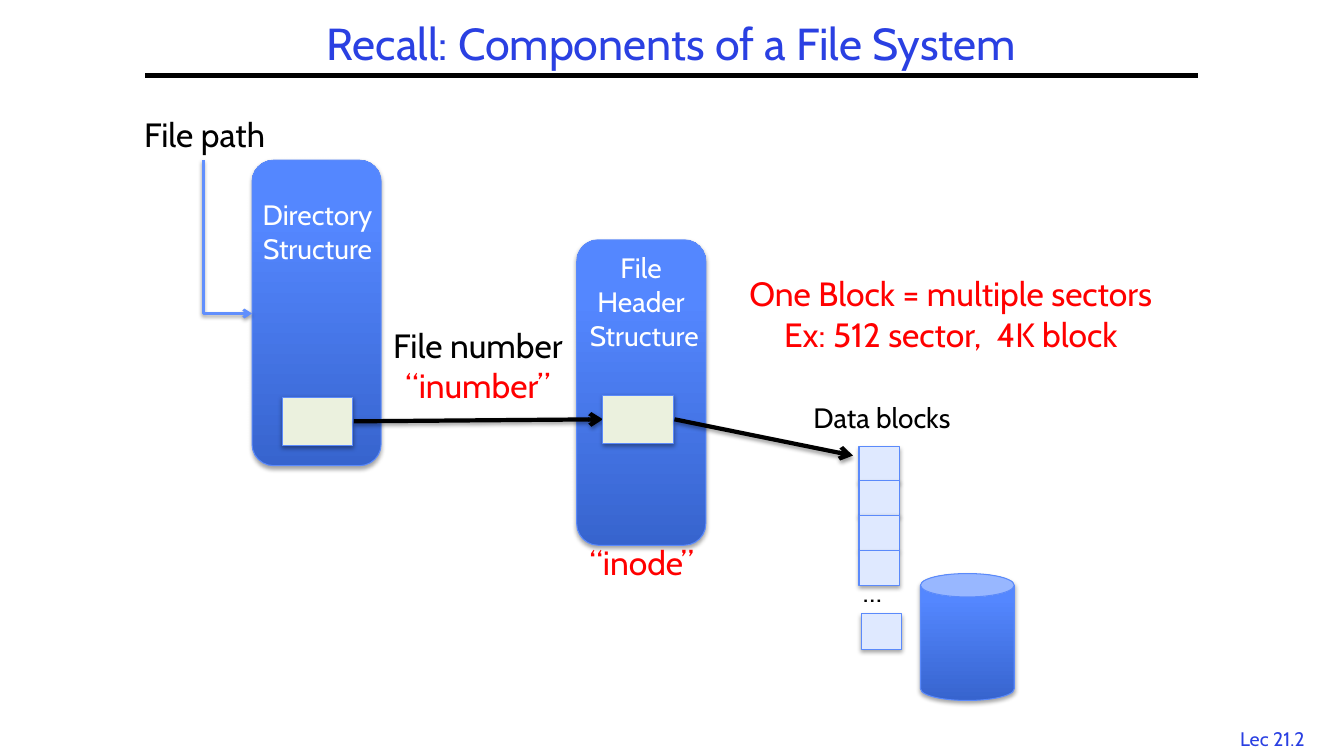
from lxml.etree import SubElement as Sub
from pptx import Presentation
from pptx.dml.color import RGBColor as Rgb
from pptx.enum.shapes import MSO_CONNECTOR as Link, MSO_SHAPE as Kind
from pptx.enum.text import MSO_ANCHOR as Anchor, MSO_AUTO_SIZE as Fit, PP_ALIGN as Align
from pptx.oxml.ns import qn
from pptx.util import Pt

PX = 9144  # 100 px to the inch
FONT = "Cabin"
INK = {
    "title": "2A40E2", "black": "000000", "white": "FFFFFF", "red": "FF0000",
    "dark": "3764CE", "light": "5487FF", "edge": "5B8AFB", "path": "618FFD",
    "entry": "EBF1DE", "block": "DFE9FF",
}


def ink(name):
    return Rgb.from_string(INK[name])


def emu(*sizes):
    return [size * PX for size in sizes]


def shade(part, alpha, dist):
    effect = Sub(part._element.spPr, qn("a:effectLst"))
    outer = Sub(effect, qn("a:outerShdw"), blurRad=str(Pt(3.1)), dist=str(Pt(dist)),
                dir="5400000", algn="ctr", rotWithShape="0")
    color = Sub(outer, qn("a:srgbClr"), val=INK["black"])
    Sub(color, qn("a:alpha"), val=str(alpha * 1000))


def shape(slide, kind, box, fill=None):
    part = slide.shapes.add_shape(kind, *emu(*box))
    if fill:
        part.fill.solid()
        part.fill.fore_color.rgb = ink(fill)
    else:
        part.fill.gradient()
        part.fill.gradient_angle = 90
        for stop, name, pos in zip(part.fill.gradient_stops, ("dark", "light"), (0, 0.8)):
            stop.color.rgb = ink(name)
            stop.position = pos
    part.line.color.rgb = ink("edge")
    part.line.width = Pt(0.75)
    shade(part, 35, 1.8)
    return part


def label(slide, box, text, size, color, align=Align.CENTER):
    part = slide.shapes.add_textbox(*emu(*box))
    frame = part.text_frame
    frame.text = text
    frame.word_wrap = False
    frame.auto_size = Fit.SHAPE_TO_FIT_TEXT
    for para in frame.paragraphs:
        para.alignment = align
        for run in para.runs:
            run.font.name = FONT
            run.font.size = Pt(size)
            run.font.color.rgb = ink(color)
    return frame


def rule(slide, ends, color, width, kind=Link.STRAIGHT):
    part = slide.shapes.add_connector(kind, *emu(*ends))
    part.line.color.rgb = ink(color)
    part.line.width = Pt(width)
    return part


def arrow(slide, ends, color="black", width=3, kind=Link.STRAIGHT):
    part = rule(slide, ends, color, width, kind)
    Sub(part.line._get_or_add_ln(), qn("a:tailEnd"), type="arrow")
    shade(part, 38, 1.6)
    return part


def elbow(slide, x1, y1, x2, y2):
    """Arrow that runs down, then right: a turned and flipped corner."""
    midx, midy = (x1 + x2) // 2, (y1 + y2) // 2
    wide, high = (y2 - y1) // 2, (x2 - x1) // 2
    ends = (midx + wide, midy - high, midx - wide, midy + high)
    part = arrow(slide, ends, "path", 2, Link.ELBOW)
    props = part._element.spPr
    props.find(qn("a:xfrm")).set("rot", "16200000")
    props.find(qn("a:prstGeom")).set("prst", "bentConnector2")


def frame(slide, x, y, w, h):
    # Title, rule below it and page number
    title = label(slide, (x, y, w, h), "Recall: Components of a File System", 32, "title")
    title.auto_size = Fit.NONE
    title.word_wrap = True
    title.vertical_anchor = Anchor.MIDDLE
    title.paragraphs[0].line_spacing = 0.9
    line = rule(slide, (x, y + h, x + w, y + h), "black", 3)
    Sub(line._element.spPr, qn("a:effectLst"))
    label(slide, (x + 1064, y + 699, 108, 33), "Lec 21.2", 14, "title")


def folder(slide, x, y, w, h):
    # Directory structure with the path that leads into it
    label(slide, (x - 117, y - 51, 149, 50), "File path", 24, "black", Align.LEFT)
    shape(slide, Kind.ROUNDED_RECTANGLE, (x, y, w, h))
    label(slide, (x - 2, y + 32, 134, 77), "Directory\nStructure", 20, "white")
    elbow(slide, x - 48, y, x, y + 152)
    shape(slide, Kind.RECTANGLE, (x + 30, y + 235, 70, 48), "entry")


def header(slide, x, y, w, h):
    # File header structure with the number that finds it
    shape(slide, Kind.ROUNDED_RECTANGLE, (x, y, w, h))
    label(slide, (x, y + 6, 134, 111), "File \nHeader \nStructure", 20, "white")
    arrow(slide, (x - 221, y + 180, x + 26, y + 178))
    label(slide, (x - 197, y + 79, 198, 50), "File number", 24, "black")
    label(slide, (x - 181, y + 119, 166, 50), "“inumber”", 24, "red")
    label(slide, (x + 3, y + 295, 125, 50), "“inode”", 24, "red", Align.LEFT)
    shape(slide, Kind.RECTANGLE, (x + 26, y + 154, 70, 48), "entry")


def store(slide, x, y, w, h):
    # Data blocks, disk and the note on block size
    arrow(slide, (x - 183, y - 27, x - 6, y + 9))
    shape(slide, Kind.CAN, (x + 61, y + 126, 93, 126))
    for row in range(4):
        shape(slide, Kind.RECTANGLE, (x, y + row * (h - 35) // 3, w, 35), "block")
    shape(slide, Kind.RECTANGLE, (x + 2, y + 166, w, 35), "block")
    label(slide, (x - 6, y + 122, 48, 44), "…", 20, "black", Align.LEFT)
    label(slide, (x - 55, y - 51, 167, 44), "Data blocks", 20, "black", Align.LEFT)
    label(slide, (x - 133, y - 177, 448, 91),
          "One Block = multiple sectors\nEx: 512 sector,  4K block", 24, "red")


def main():
    deck = Presentation()
    deck.slide_width, deck.slide_height = emu(1333, 750)
    slide = deck.slides.add_slide(deck.slide_layouts[6])
    frame(slide, 144, 17, 1044, 58)
    folder(slide, 250, 159, 128, 303)
    header(slide, 572, 238, 128, 303)
    store(slide, 852, 443, 40, 138)
    deck.save("out.pptx")


if __name__ == "__main__":
    main()
